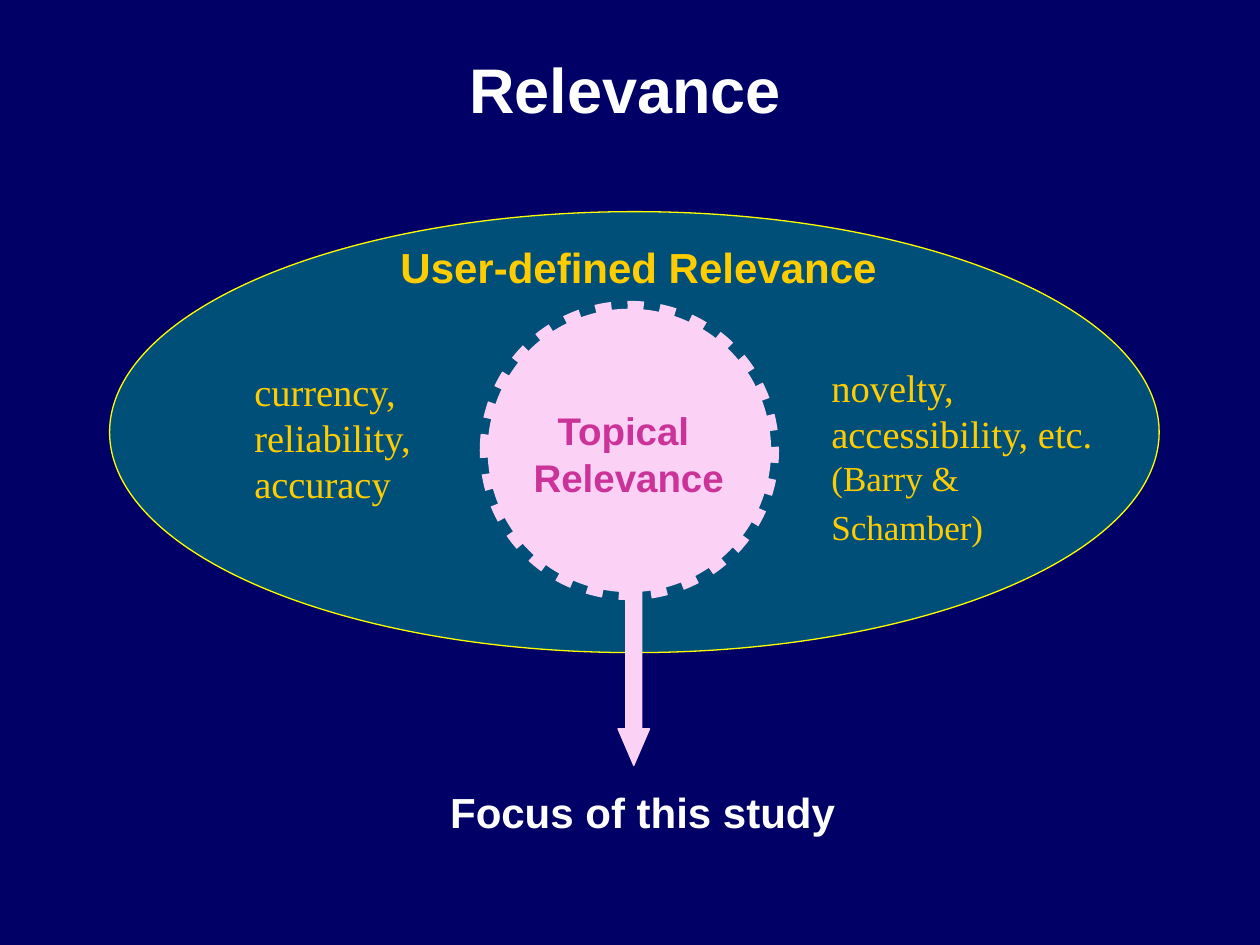
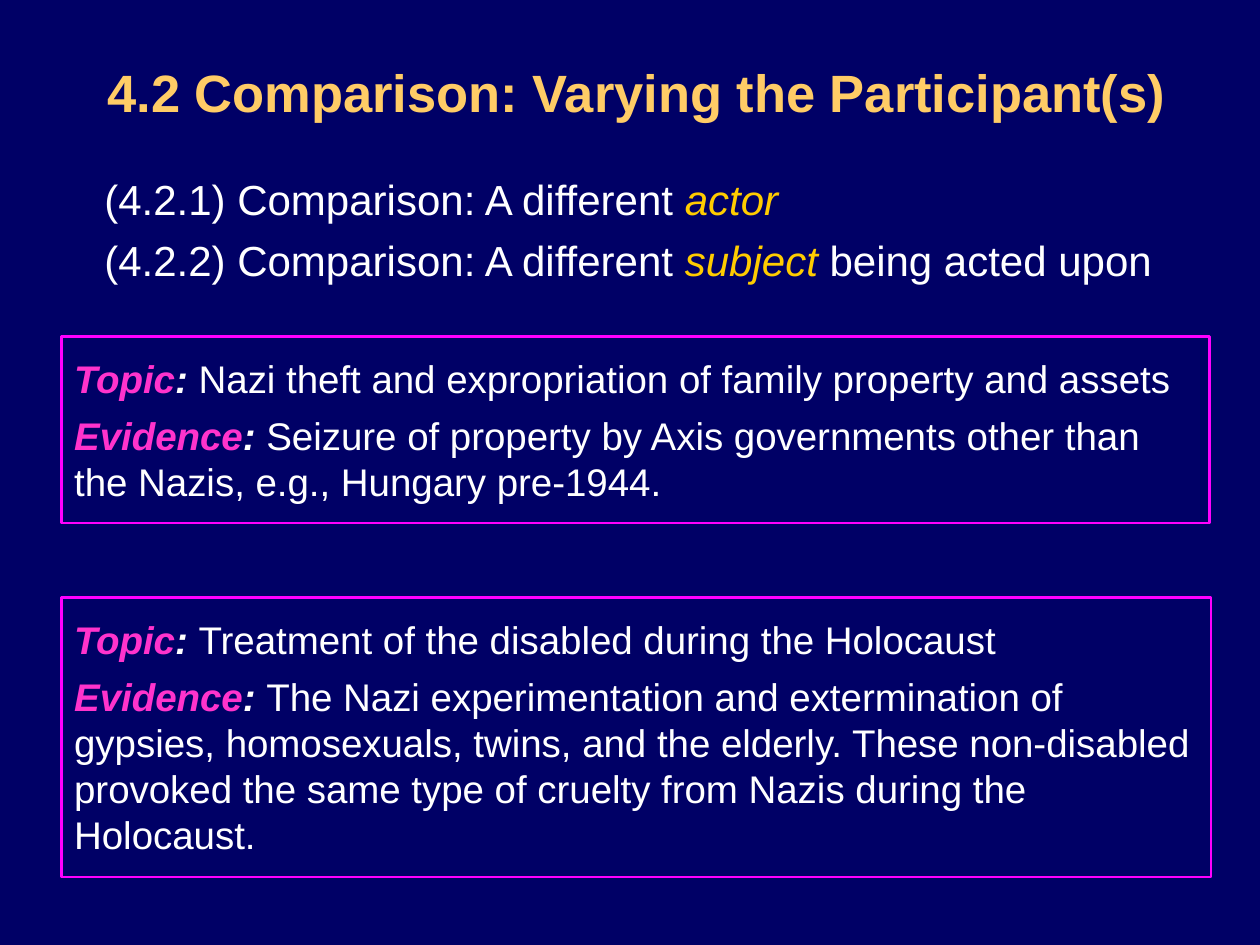
from dataclasses import dataclass

from lxml import etree
from pptx import Presentation, util as u
from pptx.dml.color import RGBColor
from pptx.enum import dml, shapes, text
from pptx.oxml.ns import qn

COLUMNS, ROWS, CELL = 100, 75, u.Inches(0.1)
TITLE_ONLY = 5


@dataclass(frozen=True)
class Theme:
    background: str = "000066"
    white: str = "FFFFFF"
    gold: str = "FFCC00"
    title_gold: str = "FFCC66"
    green: str = "00CC99"
    yellow: str = "FFFF00"
    pink: str = "FBD1F6"
    plum: str = "CC3399"
    magenta: str = "FF00FF"
    label: str = "FF33CC"
    sans: str = "Arial"
    serif: str = "Times New Roman"
    main_title: int = 36
    section_title: int = 30
    heading: int = 24
    body: int = 22
    citation: int = 20


THEME = Theme()


@dataclass(frozen=True)
class Box:
    """A region of the slide grid, in columns and rows."""
    left: float
    top: float
    width: float
    height: float

    def inside(self, column, row, columns, rows):
        return Box(self.left + column, self.top + row, columns, rows)

    def lengths(self):
        return [u.Emu(round(n * CELL)) for n in (self.left, self.top, self.width, self.height)]


SLIDE = Box(0, 0, COLUMNS, ROWS)


def rgb(color):
    return RGBColor.from_string(color)


def write(shape, paragraphs, size=THEME.body, color=THEME.white, font=THEME.sans,
          bold=False, italic=False, align=text.PP_ALIGN.LEFT, before=0, first_before=None,
          spacing=None, anchor=text.MSO_ANCHOR.TOP, insets=(1, 0.5, 1, 0.5)):
    """Fill a shape; a paragraph is a list of (words, overrides), "\\n" breaks a line."""
    frame = shape.text_frame
    frame.word_wrap = True
    frame.auto_size = text.MSO_AUTO_SIZE.NONE
    frame.vertical_anchor = anchor
    frame.margin_left, frame.margin_top, frame.margin_right, frame.margin_bottom = (
        round(n * CELL) for n in insets)
    for index, runs in enumerate(paragraphs):
        paragraph = frame.add_paragraph() if index else frame.paragraphs[0]
        paragraph.alignment = align
        first = index == 0 and first_before is not None
        paragraph.space_before = u.Pt(first_before if first else before)
        if spacing:
            paragraph.line_spacing = spacing
        for words, overrides in runs:
            style = dict(size=size, color=color, bold=bold, italic=italic) | overrides
            for number, line in enumerate(words.split("\n")):
                if number:
                    paragraph.add_line_break()
                if line:
                    run = paragraph.add_run()
                    run.text = line
                    run.font.name = font
                    run.font.size = u.Pt(style["size"])
                    run.font.bold, run.font.italic = style["bold"], style["italic"]
                    run.font.color.rgb = rgb(style["color"])


def add_text(slide, box, paragraphs, **style):
    write(slide.shapes.add_textbox(*box.lengths()), paragraphs, **style)


def add_shape(slide, kind, box, line, width, fill=None):
    shape = slide.shapes.add_shape(kind, *box.lengths())
    shape.shadow.inherit = False
    if fill:
        shape.fill.solid()
        shape.fill.fore_color.rgb = rgb(fill)
    else:
        shape.fill.background()
    shape.line.color.rgb = rgb(line)
    shape.line.width = u.Pt(width)
    return shape


def set_opacity(shape, percent):
    color = shape.fill._xPr.find(qn("a:solidFill"))[0]
    etree.SubElement(color, qn("a:alpha"), val=str(percent * 1000))


def add_titled_slide(presentation, title, box, **style):
    slide = presentation.slides.add_slide(presentation.slide_layouts[TITLE_ONLY])
    placeholder = slide.shapes.title
    placeholder.left, placeholder.top, placeholder.width, placeholder.height = box.lengths()
    write(placeholder, [[(title, {})]], bold=True, align=text.PP_ALIGN.CENTER, **style)
    return slide


def add_topical_core(slide, box):
    """Place the dotted circle with its label, and the arrow leading down from it."""
    circle = add_shape(slide, shapes.MSO_SHAPE.OVAL, box, THEME.pink, 9, THEME.pink)
    circle.line.dash_style = dml.MSO_LINE.ROUND_DOT
    add_text(slide, box.inside(2, 8.9, 18.4, 6.6),
             [[("Topical ", {})], [("Relevance", {})]], color=THEME.plum, bold=True,
             align=text.PP_ALIGN.CENTER, before=13.8, spacing=0.5)
    arrow = add_shape(slide, shapes.MSO_SHAPE.DOWN_ARROW,
                      box.inside(10.35, 21.25, 2.5, 15), THEME.pink, 0.75, THEME.pink)
    arrow.adjustments[0], arrow.adjustments[1] = 0.5, 1.16


def add_relevance_diagram(slide, box):
    field = add_shape(slide, shapes.MSO_SHAPE.OVAL, box, THEME.yellow, 0.75, THEME.green)
    set_opacity(field, 39)
    add_text(slide, box.inside(22.1, 3.6, 40, 3), [[("User-defined Relevance", {})]],
             size=THEME.heading, color=THEME.gold, bold=True, before=15, spacing=0.5)
    criteria = dict(color=THEME.gold, font=THEME.serif)
    add_text(slide, box.inside(56.3, 11.6, 24.1, 15.7),
             [[("novelty, accessibility, etc.\n", {}),
               ("(Barry & Schamber)", {"size": THEME.citation}),
               (" ", {"size": THEME.heading})]], before=15, **criteria)
    add_topical_core(slide, box.inside(30, 7.7, 22.5, 22.5))
    add_text(slide, box.inside(23.6, 45.1, 35.9, 5.9), [[("Focus of this study", {})]],
             size=THEME.heading, bold=True, align=text.PP_ALIGN.CENTER, before=18,
             insets=(3, 0.5, 1.5, 0.5))
    add_text(slide, box.inside(10.5, 11.9, 24.1, 12),
             [[("currency, \nreliability, \naccuracy", {})]], before=13.8, **criteria)


def add_comparison_list(slide, box):
    term = dict(color=THEME.gold, italic=True)
    lead = "Comparison: A different "
    add_text(slide, box,
             [[("(4.2.1) " + lead, {}), ("actor", term)],
              [("(4.2.2) " + lead, {}), ("subject", term), (" being acted upon", {})]],
             size=THEME.heading, before=6)


def add_example(slide, box, topic, evidence):
    panel = add_shape(slide, shapes.MSO_SHAPE.RECTANGLE, box, THEME.magenta, 1.5)
    strong = dict(bold=True, italic=True)
    write(panel,
          [[(label, strong | {"color": THEME.label}), (": ", strong), (words, {})]
           for label, words in (("Topic", topic), ("Evidence", evidence))],
          before=6, first_before=0, insets=(1, 1.5, 1, 1.5))


def build_relevance_slide(presentation):
    slide = add_titled_slide(presentation, "Relevance", SLIDE.inside(2.5, 3.5, 94.2, 7),
                             size=THEME.main_title)
    add_relevance_diagram(slide, SLIDE.inside(8.7, 16.8, 83.3, 35))


def build_comparison_slide(presentation):
    slide = add_titled_slide(presentation, "4.2 Comparison: Varying the Participant(s)",
                             SLIDE.inside(4.3, 1, 92.5, 12.5), size=THEME.section_title,
                             color=THEME.title_gold, anchor=text.MSO_ANCHOR.MIDDLE)
    add_comparison_list(slide, SLIDE.inside(7.3, 13.3, 87.3, 11))
    add_example(slide, SLIDE.inside(4.9, 26.7, 91.1, 14.8),
                "Nazi theft and expropriation of family property and assets",
                "Seizure of property by Axis governments other than the Nazis, "
                "e.g., Hungary pre-1944.")
    add_example(slide, SLIDE.inside(4.9, 47.4, 91.2, 22.2),
                "Treatment of the disabled during the Holocaust",
                "The Nazi experimentation and extermination of gypsies, homosexuals, twins, "
                "and the elderly. These non-disabled provoked the same type of cruelty "
                "from Nazis during the Holocaust.")


def main():
    presentation = Presentation()
    presentation.slide_width, presentation.slide_height = COLUMNS * CELL, ROWS * CELL
    background = presentation.slide_master.background.fill
    background.solid()
    background.fore_color.rgb = rgb(THEME.background)
    build_relevance_slide(presentation)
    build_comparison_slide(presentation)
    presentation.save("out.pptx")


if __name__ == "__main__":
    main()
